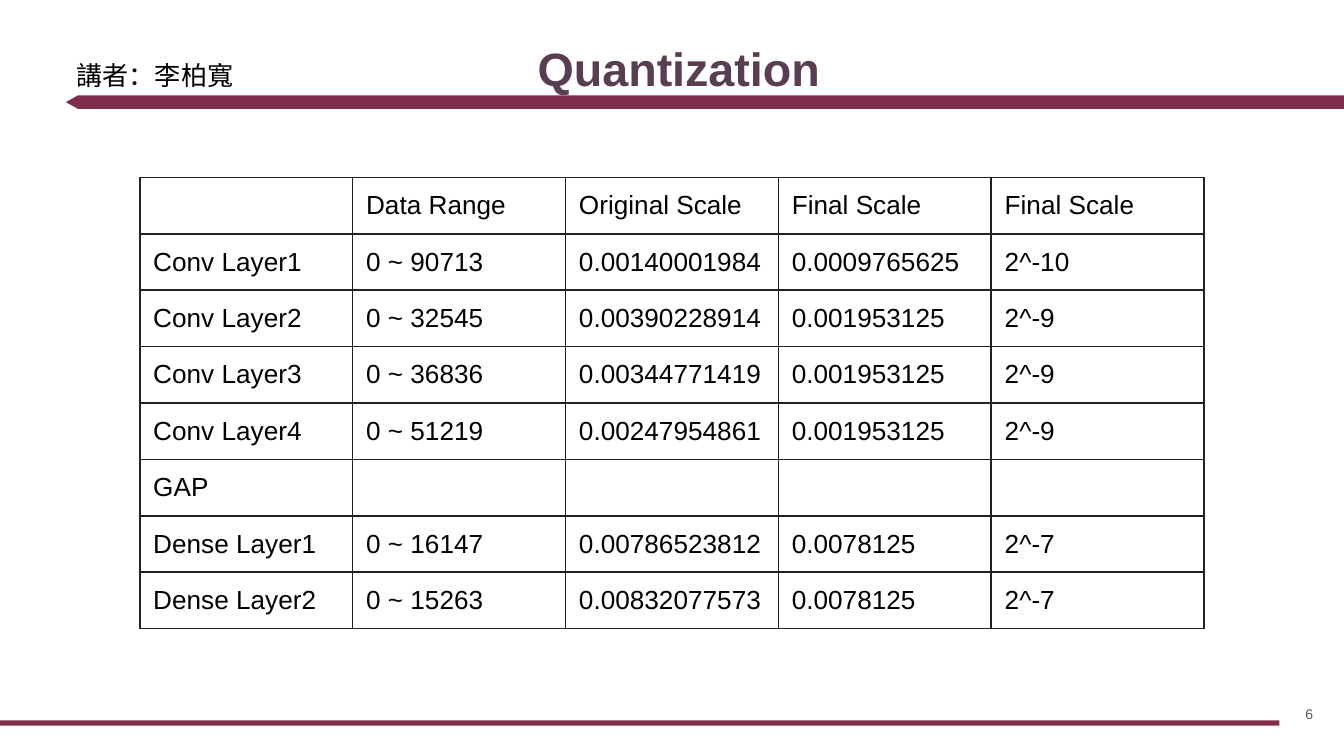
from lxml import etree
from pptx import Presentation
from pptx.dml.color import RGBColor
from pptx.enum.shapes import MSO_SHAPE
from pptx.enum.text import MSO_ANCHOR, PP_ALIGN
from pptx.oxml.ns import qn
from pptx.util import Inches, Pt

PENTAGON, RECTANGLE = MSO_SHAPE.PENTAGON, MSO_SHAPE.RECTANGLE
TOP, MIDDLE, BOTTOM = MSO_ANCHOR.TOP, MSO_ANCHOR.MIDDLE, MSO_ANCHOR.BOTTOM
LEFT, CENTER, RIGHT = PP_ALIGN.LEFT, PP_ALIGN.CENTER, PP_ALIGN.RIGHT
FONT = "Arial"
COLORS = {
    "bar": "802C4C",
    "title": "593D53",
    "text": "000000",
    "number": "595959",
    "border": "212121",
}
ROWS = [
    ["", "Data Range", "Original Scale", "Final Scale", "Final Scale"],
    ["Conv Layer1", "0 ~ 90713", "0.00140001984", "0.0009765625", "2^-10"],
    ["Conv Layer2", "0 ~ 32545", "0.00390228914", "0.001953125", "2^-9"],
    ["Conv Layer3", "0 ~ 36836", "0.00344771419", "0.001953125", "2^-9"],
    ["Conv Layer4", "0 ~ 51219", "0.00247954861", "0.001953125", "2^-9"],
    ["GAP", "", "", "", ""],
    ["Dense Layer1", "0 ~ 16147", "0.00786523812", "0.0078125", "2^-7"],
    ["Dense Layer2", "0 ~ 15263", "0.00832077573", "0.0078125", "2^-7"],
]


def color(name):
    """Return the named palette colour."""
    return RGBColor.from_string(COLORS[name])


def style_para(para, size, color_name, align=LEFT, bold=False):
    """Set the alignment and font of a paragraph."""
    para.alignment = align
    para.font.name = FONT
    para.font.size = Pt(size)
    para.font.bold = bold
    para.font.color.rgb = color(color_name)


def set_margins(target, across, top, bottom):
    """Set the inner margins of a text frame or table cell."""
    target.margin_left = target.margin_right = Inches(across)
    target.margin_top, target.margin_bottom = Inches(top), Inches(bottom)


def fill_frame(frame, text, anchor, inset=0.1):
    """Put one paragraph into a wrapped text frame and return it."""
    frame.word_wrap = True
    frame.vertical_anchor = anchor
    set_margins(frame, 0.1, inset, inset)
    frame.text = text
    return frame.paragraphs[0]


def add_bar(page, kind, left, top, width, height):
    """Add a plain coloured bar."""
    bar = page.shapes.add_shape(
        kind, Inches(left), Inches(top), Inches(width), Inches(height))
    bar.shadow.inherit = False
    bar.fill.solid()
    bar.fill.fore_color.rgb = color("bar")
    bar.line.fill.background()
    return bar


def add_header(page, left, top, width):
    """Place the arrow bar, title and speaker name."""
    arrow = add_bar(page, PENTAGON, left, top + 0.53, width, 0.1)
    arrow.adjustments[0] = 0.89
    arrow.rotation = 180
    title = page.shapes.title
    title.left, title.top = Inches(left - 0.1), Inches(top)
    title.width, title.height = Inches(9.32), Inches(0.63)
    para = fill_frame(title.text_frame, "Quantization", BOTTOM)
    style_para(para, 25, "title", CENTER, True)
    speaker = page.shapes.add_textbox(
        Inches(left - 0.02), Inches(top + 0.21), Inches(1.76), Inches(0.81))
    para = fill_frame(speaker.text_frame, "講者：李柏寬", TOP, 0.05)
    style_para(para, 14, "text")


def add_footer(page, left, top):
    """Place the bottom bar and the page number."""
    add_bar(page, RECTANGLE, left, top + 0.26, 9.53, 0.04)
    number = page.shapes.add_textbox(
        Inches(left + 9.28), Inches(top), Inches(0.6), Inches(0.43))
    para = fill_frame(number.text_frame, "6", MIDDLE)
    style_para(para, 7.5, "number", RIGHT)


def add_borders(cell):
    """Draw a thin line on each side of a cell."""
    properties = cell._tc.get_or_add_tcPr()
    for place, side in enumerate(("a:lnL", "a:lnR", "a:lnT", "a:lnB")):
        line = etree.Element(qn(side), w=str(Pt(1)))
        fill = etree.SubElement(line, qn("a:solidFill"))
        etree.SubElement(fill, qn("a:srgbClr"), val=COLORS["border"])
        properties.insert(place, line)


def add_scale_table(page, left, top, width, row_height):
    """Place the grid of layer ranges and scales."""
    table = page.shapes.add_table(
        len(ROWS), len(ROWS[0]), Inches(left), Inches(top),
        Inches(width), Inches(row_height * len(ROWS))).table
    table.first_row = table.horz_banding = False
    for row, values in enumerate(ROWS):
        for column, value in enumerate(values):
            cell = table.cell(row, column)
            cell.fill.background()
            add_borders(cell)
            set_margins(cell, 0.1, 0.1, 0.08)
            para = cell.text_frame.paragraphs[0]
            if value:
                para.text = value
            else:
                etree.SubElement(para._p, qn("a:endParaRPr"), sz="1400")
            style_para(para, 14, "text")


def main():
    """Build the quantization slide and save it."""
    deck = Presentation()
    deck.slide_width = Inches(10)
    deck.slide_height = deck.slide_width * 9 // 16
    page = deck.slides.add_slide(deck.slide_layouts[5])
    add_header(page, 0.49, 0.18, 9.51)
    add_footer(page, -0.01, 5.1)
    add_scale_table(page, 1.04, 1.32, 7.92, 0.42)
    deck.save("out.pptx")


if __name__ == "__main__":
    main()
